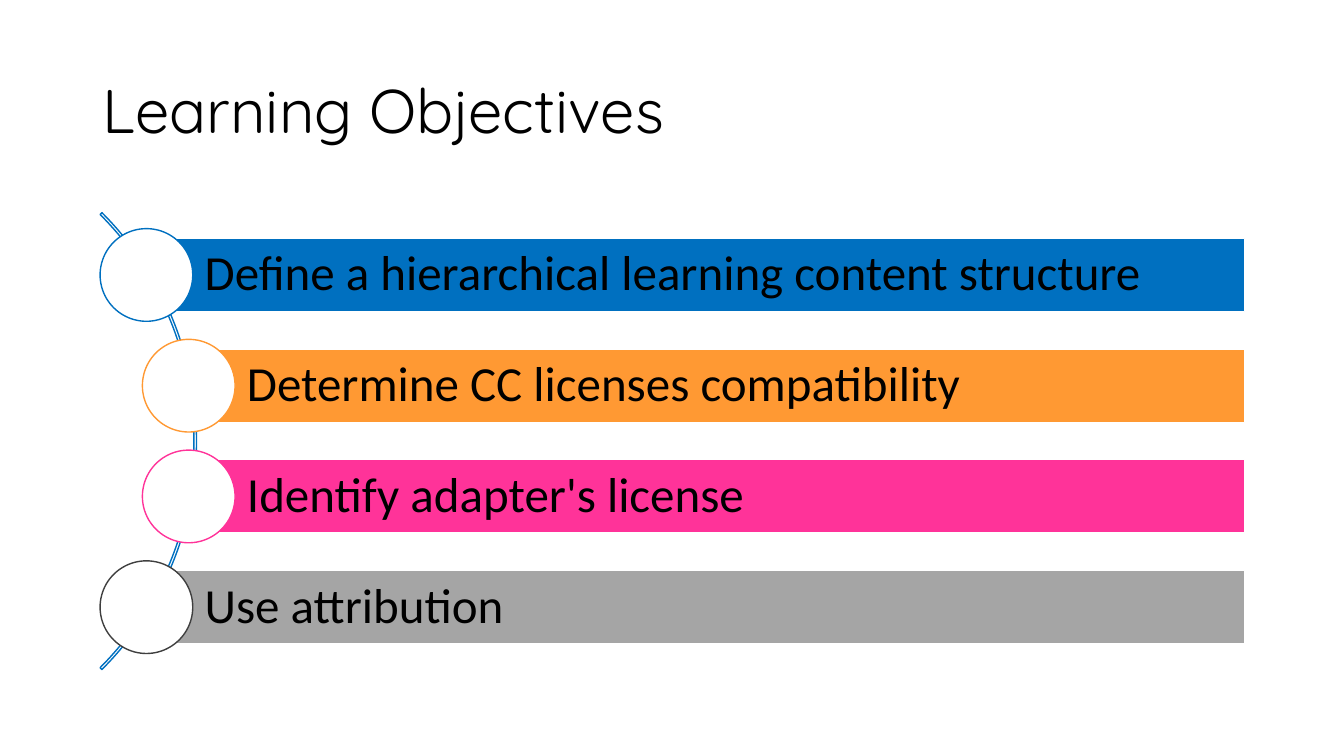
from pptx import Presentation
from pptx.dml.color import RGBColor
from pptx.enum.shapes import MSO_SHAPE as Shape
from pptx.enum.text import MSO_ANCHOR as Anchor, PP_ALIGN as Align
from pptx.util import Pt

BLACK = RGBColor(0x00, 0x00, 0x00)
WHITE = RGBColor(0xFF, 0xFF, 0xFF)
BLUE = RGBColor(0x00, 0x70, 0xC0)
ORANGE = RGBColor(0xFF, 0x99, 0x33)
PINK = RGBColor(0xFF, 0x33, 0x99)
GREY = RGBColor(0xA5, 0xA5, 0xA5)
DARK_GREY = RGBColor(0x3F, 0x3F, 0x3F)

OUTER_X, INNER_X = 104.6, 134.8  # circle centres along the arc
FIRST_Y, ROW_PITCH = 196.4, 79.1
BAR_RIGHT, BAR_HEIGHT = 889, 52.4
CIRCLE_SIZE = 66.2
ARC_LEFT, ARC_SIZE = -321.1, 461.5

OBJECTIVES = [
    ("Define a hierarchical learning content structure", OUTER_X, BLUE, BLUE),
    ("Determine CC licenses compatibility", INNER_X, ORANGE, ORANGE),
    ("Identify adapter's license", INNER_X, PINK, PINK),
    ("Use attribution", OUTER_X, GREY, DARK_GREY),
]


class ObjectivesSlide:
    title_font = "Quicksand"
    body_font = "Calibri"

    def __init__(self, deck):
        self.slide = deck.slides.add_slide(deck.slide_layouts[6])

    def add_words(self, frame, words, font, size):
        frame.word_wrap = True
        frame.vertical_anchor = Anchor.MIDDLE
        paragraph = frame.paragraphs[0]
        paragraph.alignment = Align.LEFT
        paragraph.line_spacing = 0.9
        run = paragraph.add_run()
        run.text = words
        run.font.name = font
        run.font.size = Pt(size)
        run.font.color.rgb = BLACK

    def title(self, words):
        box = self.slide.shapes.add_textbox(Pt(66), Pt(28.8), Pt(828), Pt(104.4))
        self.add_words(box.text_frame, words, self.title_font, 44)

    def shape(self, kind, left, middle, width, height, fill, line):
        """Add a preset shape centred vertically on middle."""
        added = self.slide.shapes.add_shape(
            kind, Pt(left), Pt(middle - height / 2), Pt(width), Pt(height))
        added.shadow.inherit = False
        if fill is None:
            added.fill.background()
        else:
            added.fill.solid()
            added.fill.fore_color.rgb = fill
        added.line.color.rgb = line
        added.line.width = Pt(1)
        return added

    def arc(self, middle):
        arc = self.shape(Shape.BLOCK_ARC, ARC_LEFT, middle, ARC_SIZE, ARC_SIZE, None, BLUE)
        # start at 315 degrees, end at 45 degrees, thin band
        for index, value in enumerate((189, 27, 0.004)):
            arc.adjustments[index] = value

    def bar(self, words, left, middle, fill):
        bar = self.shape(Shape.RECTANGLE, left, middle, BAR_RIGHT - left, BAR_HEIGHT, fill, WHITE)
        frame = bar.text_frame
        frame.margin_left = Pt(41.6)
        frame.margin_right = frame.margin_top = frame.margin_bottom = Pt(7)
        self.add_words(frame, words, self.body_font, 35)

    def circle(self, centre, middle, line):
        self.shape(Shape.OVAL, centre - CIRCLE_SIZE / 2, middle,
                   CIRCLE_SIZE, CIRCLE_SIZE, WHITE, line)


def main():
    deck = Presentation()
    deck.slide_width, deck.slide_height = Pt(960), Pt(540)
    page = ObjectivesSlide(deck)
    page.title("Learning Objectives")
    page.arc(FIRST_Y + ROW_PITCH * (len(OBJECTIVES) - 1) / 2)
    for row, (words, centre, fill, outline) in enumerate(OBJECTIVES):
        middle = FIRST_Y + row * ROW_PITCH
        page.bar(words, centre, middle, fill)
        page.circle(centre, middle, outline)
    deck.save("out.pptx")


if __name__ == "__main__":
    main()
